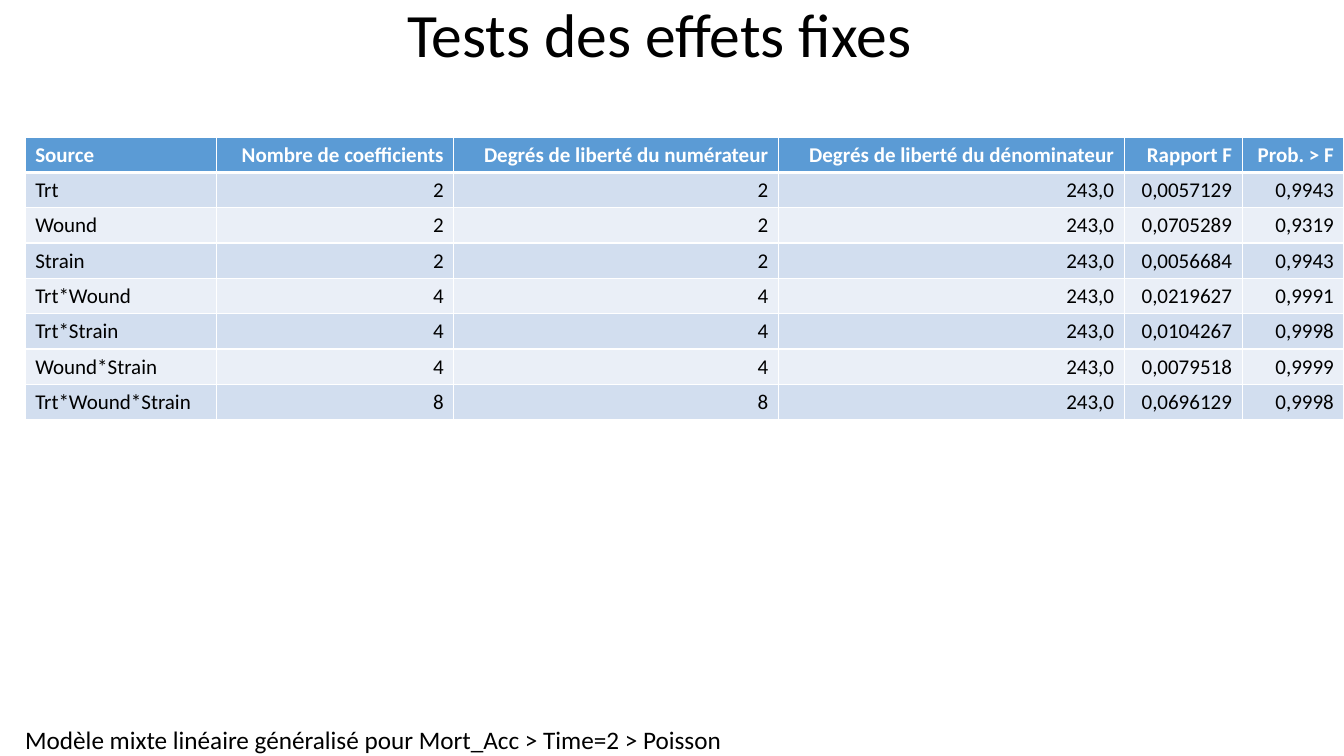
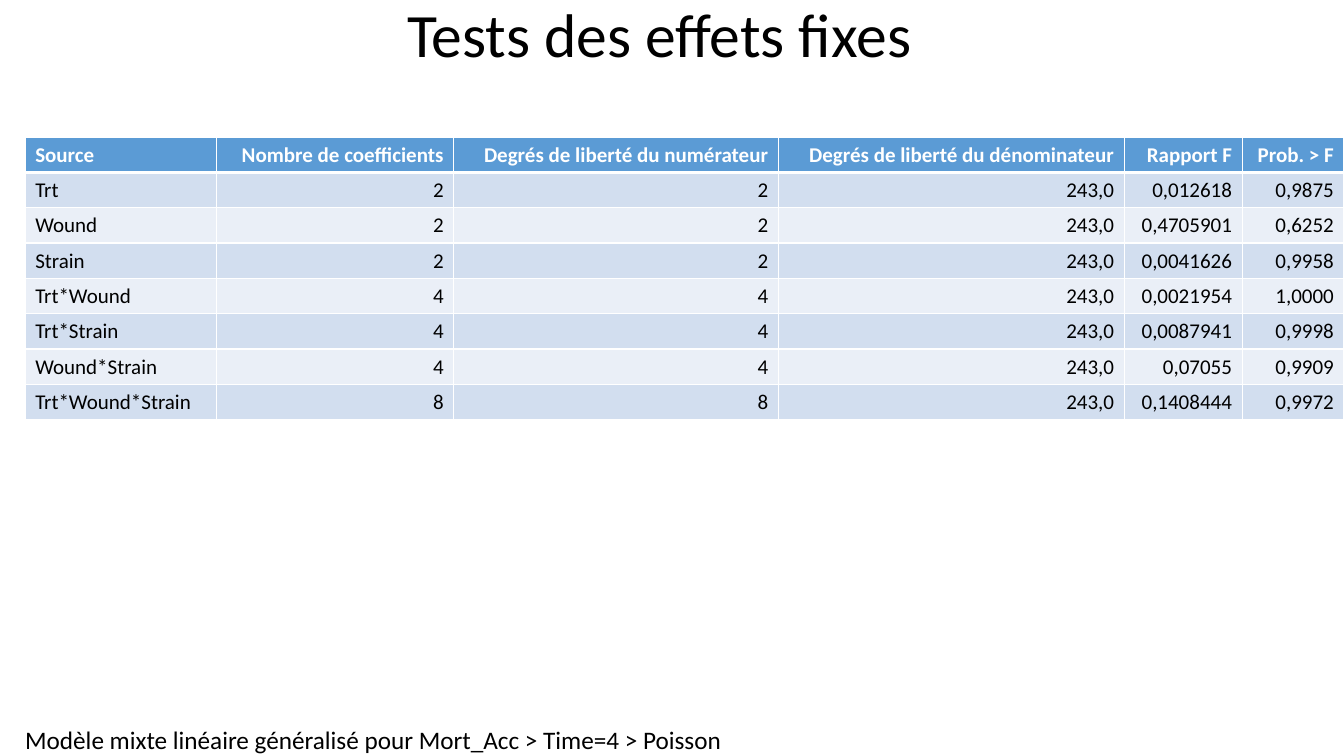
from lxml.etree import SubElement
from pptx import Presentation
from pptx.dml.color import RGBColor
from pptx.enum.text import MSO_ANCHOR, MSO_AUTO_SIZE, PP_ALIGN
from pptx.oxml.ns import qn
from pptx.util import Inches, Pt

HEADERS = ["Source", "Nombre de coefficients", "Degrés de liberté du numérateur",
           "Degrés de liberté du dénominateur", "Rapport F", "Prob. > F"]
COL_WIDTHS = [1.9, 2.35, 3.22, 3.43, 1.17, 1.01]

# Source of each effect and its number of coefficients
EFFECTS = [("Trt", "2"), ("Wound", "2"), ("Strain", "2"), ("Trt*Wound", "4"),
           ("Trt*Strain", "4"), ("Wound*Strain", "4"), ("Trt*Wound*Strain", "8")]
DENOMINATOR_DF = "243,0"

# F ratio and probability of each effect, by time
RESULTS = {
    2: [("0,0057129", "0,9943"), ("0,0705289", "0,9319"), ("0,0056684", "0,9943"),
        ("0,0219627", "0,9991"), ("0,0104267", "0,9998"), ("0,0079518", "0,9999"),
        ("0,0696129", "0,9998")],
    4: [("0,012618", "0,9875"), ("0,4705901", "0,6252"), ("0,0041626", "0,9958"),
        ("0,0021954", "1,0000"), ("0,0087941", "0,9998"), ("0,07055", "0,9909"),
        ("0,1408444", "0,9972")],
}


def rgb(color):
    return RGBColor.from_string(color)


class Deck:
    FONT = "Calibri"
    TEXT, WHITE = "000000", "FFFFFF"
    HEADER, BANDS = "5B9BD5", ("D2DEEF", "EAEFF7")

    def __init__(self):
        self.prs = Presentation()
        self.prs.slide_width, self.prs.slide_height = Inches(13.33), Inches(7.5)
        self.s = None

    def new_slide(self):
        self.s = self.prs.slides.add_slide(self.prs.slide_layouts[6])

    def add_run(self, p, text, size, color=TEXT, bold=False):
        r = p.add_run()
        r.text = text
        r.font.name, r.font.size, r.font.bold = self.FONT, Pt(size), bold
        r.font.color.rgb = rgb(color)

    def title(self, text):
        sp = self.s.shapes.add_textbox(0, 0, Inches(13.08), Inches(0.75))
        tf = sp.text_frame
        tf.word_wrap, tf.vertical_anchor = True, MSO_ANCHOR.MIDDLE
        p = tf.paragraphs[0]
        p.alignment, p.line_spacing = PP_ALIGN.CENTER, 0.9
        self.add_run(p, text, 44)

    def caption(self, text):
        sp = self.s.shapes.add_textbox(Inches(0.25), Inches(7.19), Inches(6.93), Inches(0.31))
        tf = sp.text_frame
        tf.margin_left = tf.margin_right = tf.margin_top = tf.margin_bottom = 0
        tf.word_wrap, tf.auto_size = False, MSO_AUTO_SIZE.SHAPE_TO_FIT_TEXT
        self.add_run(tf.paragraphs[0], text, 18)

    def borders(self, cell, top, bottom):
        tc_pr = cell._tc.get_or_add_tcPr()
        sides = [("a:lnL", 1), ("a:lnR", 1), ("a:lnT", top), ("a:lnB", bottom)]
        for i, (side, width) in enumerate(sides):
            ln = SubElement(tc_pr, qn(side), w=str(Pt(width)))
            SubElement(SubElement(ln, qn("a:solidFill")), qn("a:srgbClr"), val=self.WHITE)
            tc_pr.insert(i, ln)

    def table(self, rows):
        frame = self.s.shapes.add_table(len(rows), len(COL_WIDTHS), Inches(0.25), Inches(1.36),
                                        Inches(sum(COL_WIDTHS)), Inches(0.35 * len(rows)))
        tbl = frame.table
        for column, width in zip(tbl.columns, COL_WIDTHS):
            column.width = Inches(width)
        for i, row in enumerate(rows):
            head = i == 0
            fill = self.HEADER if head else self.BANDS[(i - 1) % 2]
            for j, text in enumerate(row):
                cell = tbl.cell(i, j)
                cell.fill.solid()
                cell.fill.fore_color.rgb = rgb(fill)
                self.borders(cell, top=3 if i == 1 else 1, bottom=3 if head else 1)
                p = cell.text_frame.paragraphs[0]
                p.alignment = PP_ALIGN.RIGHT if j else PP_ALIGN.LEFT
                self.add_run(p, text, 15, self.WHITE if head else self.TEXT, head)


def main():
    deck = Deck()
    # One slide of tests per time
    for time, results in RESULTS.items():
        deck.new_slide()
        deck.caption(f"Modèle mixte linéaire généralisé pour Mort_Acc > Time={time} > Poisson")
        deck.title("Tests des effets fixes")
        rows = [[source, count, count, DENOMINATOR_DF, ratio, prob]
                for (source, count), (ratio, prob) in zip(EFFECTS, results)]
        deck.table([HEADERS] + rows)
    deck.prs.save("out.pptx")


if __name__ == "__main__":
    main()
